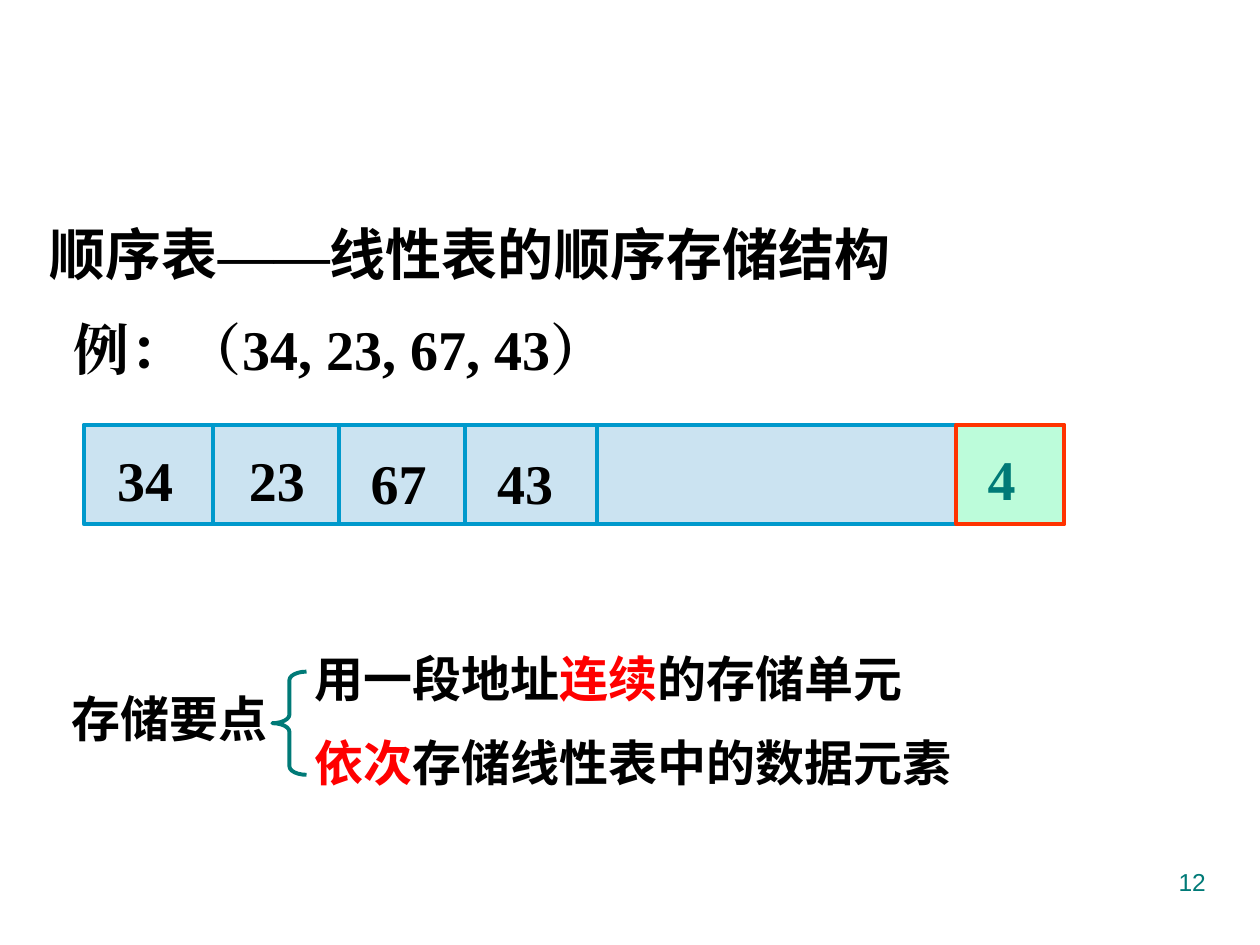
from dataclasses import dataclass

import pptx
import pptx.dml.color
import pptx.enum.shapes
import pptx.enum.text
import pptx.oxml.ns
import pptx.util
from lxml import etree
from pptx.util import Cm

RGBColor = pptx.dml.color.RGBColor
BLACK = RGBColor(0, 0, 0)
RED = RGBColor(255, 0, 0)
TEAL = RGBColor(0, 0x7A, 0x77)
BLUE = RGBColor(0, 0x99, 0xCC)
PALE = RGBColor(0xCB, 0xE3, 0xF1)
MINT = RGBColor(0xBC, 0xFC, 0xDA)
ORANGE = RGBColor(0xFF, 0x33, 0)
ARIAL = "Arial"
TIMES = "Times New Roman"
NOTO = "Noto Sans CJK SC"
LEFT = pptx.enum.text.PP_ALIGN.LEFT
RIGHT = pptx.enum.text.PP_ALIGN.RIGHT
STROKE = pptx.util.Pt(2.25)


@dataclass
class Run:
    text: str
    color: RGBColor = BLACK
    font: str = ""


@dataclass
class Box:
    x: float
    y: float
    w: float
    h: float


@dataclass
class Cell:
    text: str
    box: Box


CELLS = [
    Cell("34", Box(2.36, 8.86, 1.35, 1.63)),
    Cell("23", Box(5.02, 8.86, 1.35, 1.63)),
    Cell("67", Box(7.47, 8.92, 1.35, 1.63)),
    Cell("43", Box(10.02, 8.92, 1.35, 1.63)),
]
WALLS = [4.3, 6.83, 9.37, 12.04]
TOP, HIGH = 8.56, 2.01


def area(box: Box) -> tuple:
    return Cm(box.x), Cm(box.y), Cm(box.w), Cm(box.h)


def write(slide, box: Box, *lines: list[Run], size: float = 32, font: str = TIMES,
          bold: bool = True, align=LEFT, side: float = 0.25, wrap: bool = True,
          gap: float = 0) -> None:
    frame = slide.shapes.add_textbox(*area(box)).text_frame
    frame.word_wrap = wrap
    frame.margin_left = Cm(side)
    frame.margin_right = Cm(min(side, 0.25))
    frame.margin_top = frame.margin_bottom = Cm(0.13)
    for i, line in enumerate(lines):
        para = frame.paragraphs[0] if i == 0 else frame.add_paragraph()
        para.alignment = align
        if i:
            para.space_before = pptx.util.Pt(gap)
        for part in line:
            run = para.add_run()
            run.text = part.text
            face = part.font or font
            run.font.name = face
            run.font.size = pptx.util.Pt(size)
            run.font.bold = bold
            run.font.color.rgb = part.color
            east = etree.SubElement(run.font._element, pptx.oxml.ns.qn("a:ea"))
            east.set("typeface", face)


def block(slide, box: Box, fill: RGBColor, edge: RGBColor) -> None:
    kind = pptx.enum.shapes.MSO_SHAPE.RECTANGLE
    shape = slide.shapes.add_shape(kind, *area(box))
    shape.shadow.inherit = False
    shape.fill.solid()
    shape.fill.fore_color.rgb = fill
    shape.line.color.rgb = edge
    shape.line.width = STROKE


def wall(slide, x: float) -> None:
    kind = pptx.enum.shapes.MSO_CONNECTOR.STRAIGHT
    line = slide.shapes.add_connector(kind, Cm(x), Cm(TOP), Cm(x), Cm(TOP + HIGH))
    line.line.color.rgb = BLUE
    line.line.width = STROKE
    etree.SubElement(line._element.spPr, pptx.oxml.ns.qn("a:effectLst"))


def brace(slide, box: Box) -> None:
    kind = pptx.enum.shapes.MSO_SHAPE.LEFT_BRACE
    shape = slide.shapes.add_shape(kind, *area(box))
    shape.shadow.inherit = False
    shape.adjustments[0] = 0.25
    shape.fill.background()
    shape.line.color.rgb = TEAL
    shape.line.width = STROKE


def main() -> None:
    deck = pptx.Presentation()
    deck.slide_width, deck.slide_height = Cm(25.4), Cm(19.05)
    slide = deck.slides.add_slide(deck.slide_layouts[6])

    write(slide, Box(0.75, 4.3, 20.95, 1.63),
          [Run("顺序表"), Run("——", font=TIMES), Run("线性表的顺序存储结构")], font=NOTO)
    write(slide, Box(1.24, 6.22, 13.72, 1.63), [Run("例：（34, 23, 67, 43）")])

    block(slide, Box(1.69, TOP, 17.6, HIGH), PALE, BLUE)
    for x in WALLS:
        wall(slide, x)
    for cell in CELLS:
        write(slide, cell.box, [Run(cell.text)], side=0)
    last = Box(19.28, TOP, 2.18, HIGH)
    block(slide, last, MINT, ORANGE)
    write(slide, Box(last.x, 8.83, last.w, 1.63), [Run("4", TEAL)], side=0.63)

    write(slide, Box(1.19, 13.74, 4.45, 1.45), [Run("存储要点")],
          size=28, font=ARIAL, wrap=False)
    brace(slide, Box(5.49, 13.54, 0.69, 2.08))
    write(slide, Box(6.1, 12.95, 16.28, 3.15),
          [Run("用一段地址"), Run("连续", RED), Run("的存储单元")],
          [Run("依次", RED), Run("存储线性表中的数据元素")],
          size=28, font=ARIAL, gap=14)
    write(slide, Box(18.21, 17.35, 6.35, 1.32), [Run("12", TEAL)],
          size=14, font=ARIAL, bold=False, align=RIGHT)

    deck.save("out.pptx")


if __name__ == "__main__":
    main()
